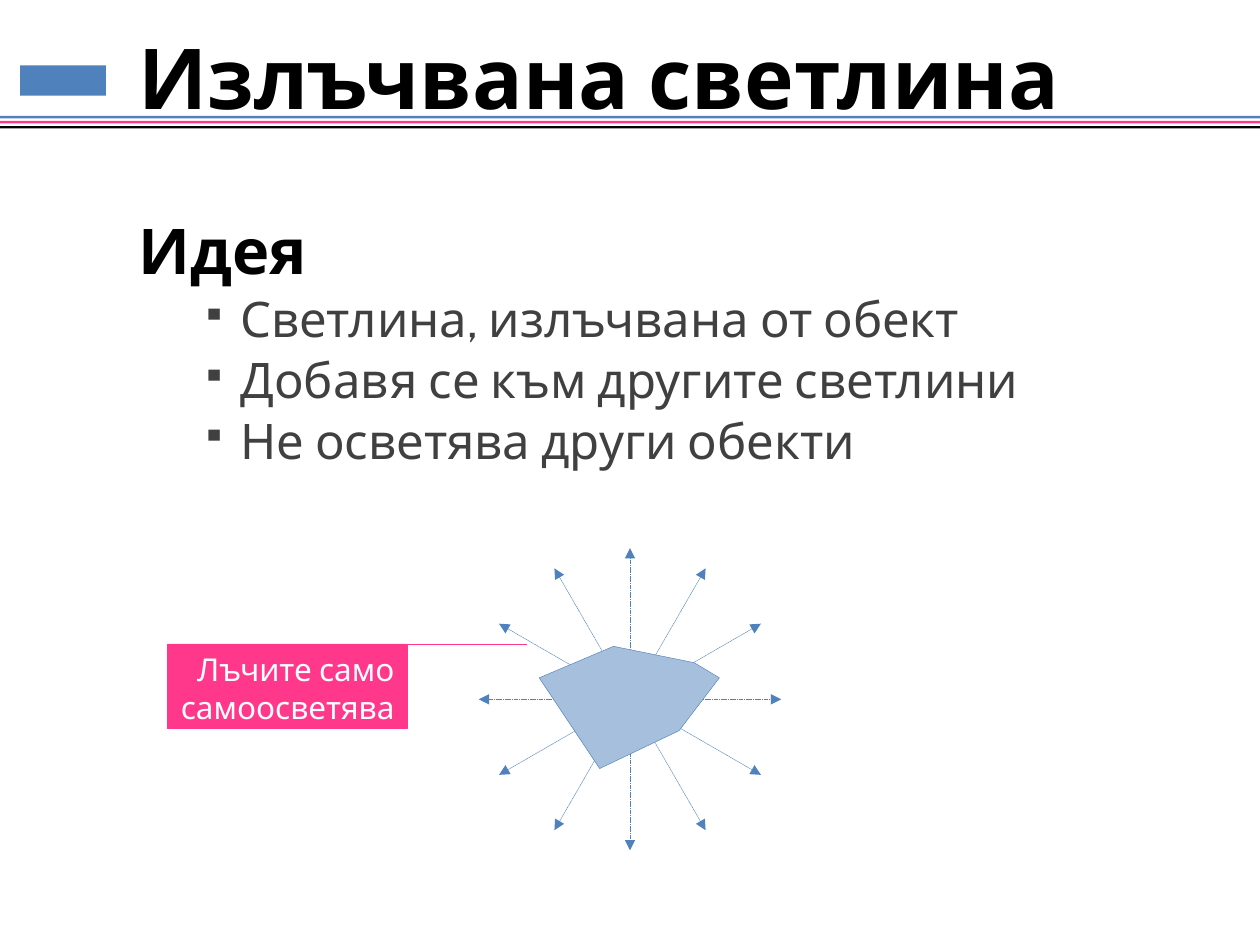
from dataclasses import dataclass
from math import cos, radians, sin

from lxml import etree
from pptx import Presentation
from pptx.dml.color import RGBColor
from pptx.enum.dml import MSO_LINE
from pptx.enum.shapes import MSO_CONNECTOR, MSO_SHAPE
from pptx.enum.text import MSO_ANCHOR, PP_ALIGN
from pptx.oxml.ns import qn
from pptx.util import Inches, Pt

RECT = MSO_SHAPE.RECTANGLE
LINE = MSO_CONNECTOR.STRAIGHT
DASH = MSO_LINE.SQUARE_DOT
LEFT, RIGHT = PP_ALIGN.LEFT, PP_ALIGN.RIGHT
TOP, MIDDLE = MSO_ANCHOR.TOP, MSO_ANCHOR.MIDDLE


@dataclass(frozen=True)
class Theme:
    """Colours, font and type sizes of the slide."""
    blue: str = "4F81BD"
    pink: str = "FF388C"
    black: str = "000000"
    white: str = "FFFFFF"
    grey: str = "404040"
    font: str = "Cabin"
    title: int = 48
    head: int = 36
    item: int = 28
    note: int = 18
    thin: float = 0.25


THEME = Theme()


def add_run(para, text, size, color, bold=False):
    """Add one styled run to a paragraph."""
    run = para.add_run()
    run.text = text
    font = run.font
    font.name, font.size, font.bold = THEME.font, Pt(size), bold
    font.color.rgb = RGBColor.from_string(color)


def paint(shape, fill, line=None, alpha=None):
    """Set the fill, outline and opacity of a shape."""
    shape.shadow.inherit = False
    shape.fill.solid()
    shape.fill.fore_color.rgb = RGBColor.from_string(fill)
    if alpha:
        color = shape.fill._xPr.find(".//" + qn("a:srgbClr"))
        etree.SubElement(color, qn("a:alpha"), val=str(alpha * 1000))
    if line:
        shape.line.color.rgb = RGBColor.from_string(line)
        shape.line.width = Pt(THEME.thin)
    else:
        shape.line.fill.background()


def add_rect(slide, left, top, width, height, fill, line=None):
    """Add a plain rectangle."""
    box = slide.shapes.add_shape(
        RECT, Inches(left), Inches(top), Inches(width), Inches(height))
    paint(box, fill, line)
    return box


def add_line(slide, start, end, color):
    """Add a thin straight line."""
    line = slide.shapes.add_connector(
        LINE, *(Inches(v) for v in (*start, *end)))
    line.line.color.rgb = RGBColor.from_string(color)
    line.line.width = Pt(THEME.thin)
    etree.SubElement(line._element.spPr, qn("a:effectLst"))
    return line


def add_ray(slide, start, end):
    """Add a dashed line with an arrowhead at both ends."""
    ray = add_line(slide, start, end, THEME.blue)
    ray.line.dash_style = DASH
    pen = ray.line._get_or_add_ln()
    for tag in ("a:headEnd", "a:tailEnd"):
        etree.SubElement(pen, qn(tag), type="triangle")


def add_rays(slide, x, y, reach, count):
    """Spread double-headed rays evenly around a centre."""
    for step in range(count):
        turn = radians(180 * step / count)
        dx, dy = reach * cos(turn), reach * sin(turn)
        add_ray(slide, (x - dx, y - dy), (x + dx, y + dy))


def add_body(slide, points, fill, line=None, alpha=None):
    """Add a closed polygon."""
    first, *rest = [(Inches(x), Inches(y)) for x, y in points]
    form = slide.shapes.build_freeform(*first)
    form.add_line_segments(rest, close=True)
    paint(form.convert_to_shape(), fill, line, alpha)


def set_title(slide, text):
    """Place and fill the title."""
    title = slide.shapes.title
    title.left, title.top = Inches(0), Inches(0.25)
    title.width, title.height = Inches(10), Inches(0.71)
    frame = title.text_frame
    frame.word_wrap, frame.vertical_anchor = True, MIDDLE
    para = frame.paragraphs[0]
    para.alignment = LEFT
    para._p.get_or_add_pPr().set("marL", str(Inches(1)))
    add_run(para, text, THEME.title, THEME.black, True)


def add_item(frame, text):
    """Add one bulleted paragraph."""
    para = frame.add_paragraph()
    para.level, para.space_before = 1, Pt(1)
    props = para._p.get_or_add_pPr()
    props.set("marL", str(Inches(0.81)))
    props.set("indent", str(Inches(-0.31)))
    color = etree.SubElement(props, qn("a:buClr"))
    etree.SubElement(color, qn("a:srgbClr"), val=THEME.grey)
    etree.SubElement(props, qn("a:buSzPct"), val="70000")
    etree.SubElement(props, qn("a:buChar"), char="▪")
    add_run(para, text, THEME.item, THEME.grey)


def add_list(slide, head, items):
    """Add a heading with its bullets."""
    box = slide.shapes.add_textbox(
        Inches(1), Inches(1.33), Inches(8.92), Inches(6.08))
    frame = box.text_frame
    frame.word_wrap = True
    para = frame.paragraphs[0]
    para.line_spacing = 1.5
    add_run(para, head, THEME.head, THEME.black, True)
    for item in items:
        add_item(frame, item)


def add_note(slide, text):
    """Add the callout box and its leader line."""
    box = add_rect(slide, 1.33, 5.11, 1.9, 0.67, THEME.pink, THEME.pink)
    frame = box.text_frame
    frame.word_wrap, frame.vertical_anchor = True, TOP
    para = frame.paragraphs[0]
    para.alignment = RIGHT
    add_run(para, text, THEME.note, THEME.white)
    add_line(slide, (1.47, 5.11), (4.18, 5.11), THEME.pink)


def main():
    """Build and save the slide."""
    deck = Presentation()
    deck.slide_width, deck.slide_height = Inches(10), Inches(7.5)
    slide = deck.slides.add_slide(deck.slide_layouts[5])
    set_title(slide, "Излъчвана светлина")
    add_rect(slide, 0.16, 0.52, 0.68, 0.24, THEME.blue)
    for row, color in enumerate((THEME.blue, THEME.pink, THEME.black)):
        add_rect(slide, -0.08, 0.92 + 0.04 * row, 10.17, 0.02, color)
    add_rays(slide, 5, 5.55, 1.2, 6)
    add_list(slide, "Идея", (
        "Светлина, излъчвана от обект",
        "Добавя се към другите светлини",
        "Не осветява други обекти"))
    points = ((4.87, 5.13), (5.51, 5.26), (5.71, 5.38),
              (5.39, 5.8), (4.76, 6.1), (4.28, 5.38))
    add_body(slide, points, THEME.white)
    add_body(slide, points, THEME.blue, THEME.blue, 50)
    add_note(slide, "Лъчите само самоосветяват")
    deck.save("out.pptx")


if __name__ == "__main__":
    main()
